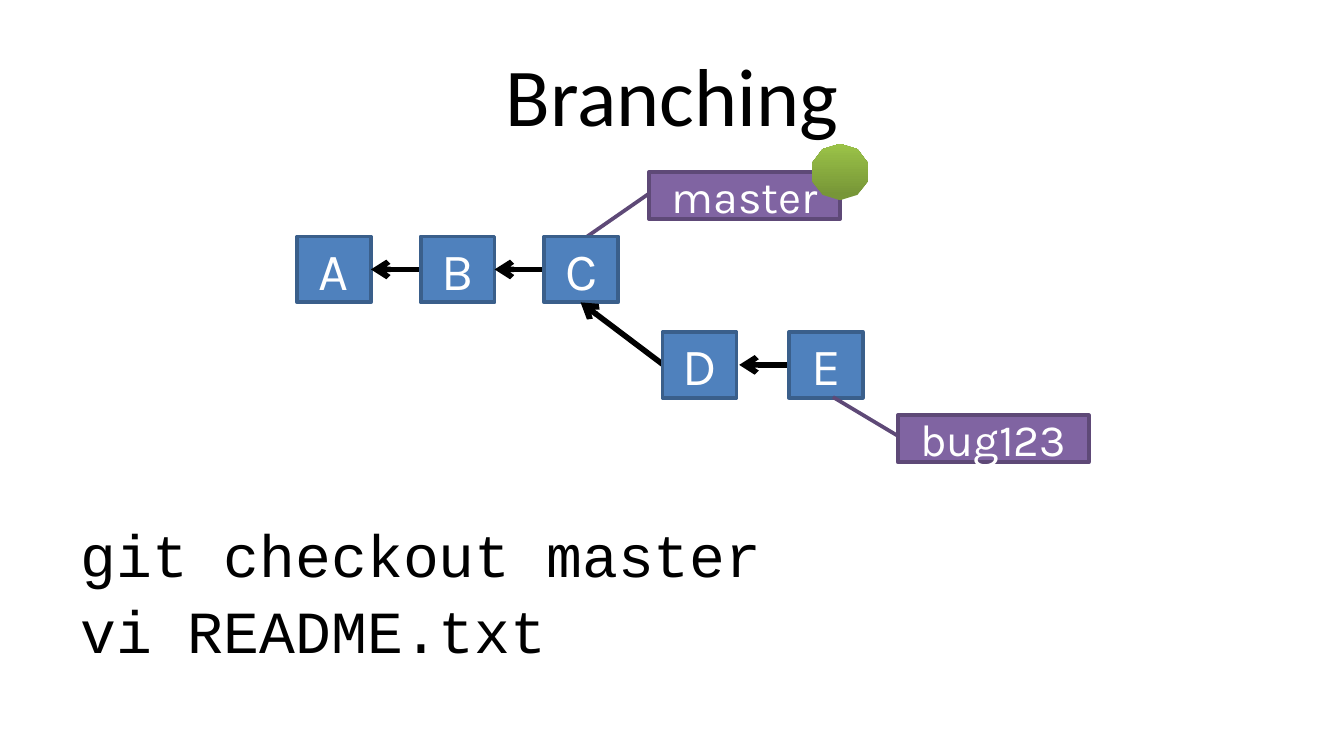
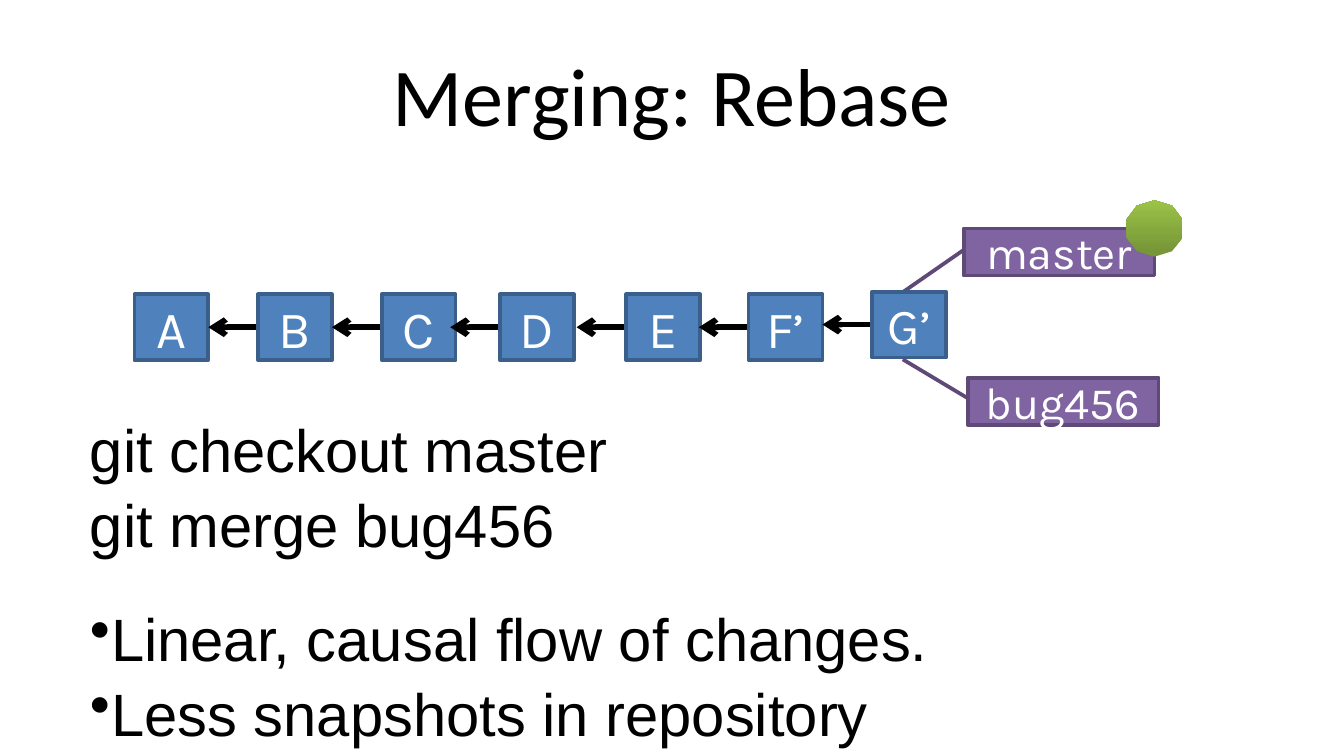
"""Build two slides about branching and rebasing as commit graphs."""
import pptx
import pptx.dml.color
import pptx.enum.shapes
import pptx.enum.text
import pptx.oxml.ns
import pptx.util
from lxml import etree

SHAPES = pptx.enum.shapes.MSO_SHAPE
ALIGN = pptx.enum.text.PP_ALIGN
ANCHOR = pptx.enum.text.MSO_ANCHOR
WIDTH, HEIGHT = 100, 56.25
COMMIT = (5.5, 4.9)
LABEL = (14.2, 3.5)
ARROW = 3.7
COLUMNS = {"A": 0, "B": 9.2, "C": 18.4, "D": 27.2, "E": 36.6, "F’": 45.7, "G’": 54.9}
ABOVE = (0.446, 0.004, 1.383, -0.329)
BELOW = (0.446, 0.004, -0.389, -0.34)
BLUE, BLUE_EDGE = "4F81BD", "3A5F8B"
PURPLE, PURPLE_EDGE = "8064A2", "5E4977"
GREEN_DARK, GREEN_LIGHT = "779637", "9BC348"
BLACK, WHITE = "000000", "FFFFFF"


def grid(*cells):
    """Turn grid cells, a hundred to the slide's width, into lengths."""
    return [pptx.util.Inches(cell / 10) for cell in cells]


def colour(code):
    """Turn a hex string into a colour."""
    return pptx.dml.color.RGBColor.from_string(code)


def apply(target, values):
    """Set every attribute named in a dict of format values."""
    for name, value in values.items():
        setattr(target, name, value)


def write(para, text, face, size, code):
    """Add one formatted span to a paragraph."""
    span = para.add_run()
    span.text = text
    apply(span.font, {"name": face, "size": pptx.util.Pt(size)})
    span.font.color.rgb = colour(code)


def text_box(page, place, lines, face, size, values, align=ALIGN.LEFT):
    """Add a text box from (text, space before, bulleted) lines."""
    frame = page.shapes.add_textbox(*grid(*place)).text_frame
    apply(frame, {"word_wrap": True, **values})
    for index, (text, gap, bulleted) in enumerate(lines):
        para = frame.add_paragraph() if index else frame.paragraphs[0]
        apply(para, {"alignment": align, "space_before": pptx.util.Pt(gap)})
        if bulleted:
            properties = para._p.get_or_add_pPr()
            apply_margins = {"marL": "0", "indent": "0"}
            properties.attrib.update(apply_margins)
            bullet = etree.SubElement(properties, pptx.oxml.ns.qn("a:buChar"))
            bullet.set("char", "•")
        write(para, text, face, size, BLACK)


def title(page, text):
    """Add the centred slide title."""
    text_box(page, (5, 2.3, 90, 9.4), [(text, 0, False)], "Calibri", 44,
             {"vertical_anchor": ANCHOR.MIDDLE}, ALIGN.CENTER)


def commands(page, place, lines, face, top):
    """Add the command lines and remarks below the graph."""
    margin_left, margin_top = grid(1, top)
    text_box(page, place, lines, face, 32,
             {"margin_left": margin_left, "margin_top": margin_top})


def filled(page, kind, place, fill, edge, text, size):
    """Add an outlined shape with white centred text."""
    shape = page.shapes.add_shape(kind, *grid(*place))
    shape.shadow.inherit = False
    shape.fill.solid()
    shape.fill.fore_color.rgb = colour(fill)
    shape.line.color.rgb = colour(edge)
    shape.line.width = pptx.util.Pt(2)
    shape.text_frame.vertical_anchor = ANCHOR.MIDDLE
    para = shape.text_frame.paragraphs[0]
    para.alignment = ALIGN.CENTER
    write(para, text, "Karla", size, WHITE)
    return shape


def arrow(page, start, end):
    """Add a black arrow from a commit to its parent."""
    line = page.shapes.add_connector(
        pptx.enum.shapes.MSO_CONNECTOR.STRAIGHT, *grid(*start, *end))
    line.line.color.rgb = colour(BLACK)
    line.line.width = pptx.util.Pt(3)
    head = etree.SubElement(line.line._get_or_add_ln(), pptx.oxml.ns.qn("a:tailEnd"))
    head.set("type", "arrow")
    etree.SubElement(line._element.spPr, pptx.oxml.ns.qn("a:effectLst"))


def commits(page, left, top, names, size=28):
    """Add a row of commits, each but the first pointing left."""
    width, height = COMMIT
    for name in names:
        column = left + COLUMNS[name]
        if name not in "AD" or left < 20 and name == "D":
            middle = top + height / 2
            arrow(page, (column, middle), (column - ARROW, middle))
        filled(page, SHAPES.RECTANGLE, (column, top, width, height),
               BLUE, BLUE_EDGE, name, size)


def branch(page, left, top, name, pointer):
    """Add a branch label whose leader points to a commit."""
    label = filled(page, SHAPES.LINE_CALLOUT_1, (left, top, *LABEL),
                   PURPLE, PURPLE_EDGE, name, 24)
    for index, value in enumerate(pointer):
        label.adjustments[index] = value


def current_marker(page, left, top):
    """Mark the checked-out branch label with a green decagon."""
    star = page.shapes.add_shape(
        SHAPES.STAR_5_POINT, *grid(left + 12.1, top - 2.1, 4.2, 3.8))
    star.shadow.inherit = False
    star.adjustments[0] = 0.5
    star.line.fill.background()
    star.fill.gradient()
    star.fill.gradient_angle = 90
    for stop, place, code in zip(star.fill.gradient_stops, (0, 1),
                                 (GREEN_DARK, GREEN_LIGHT)):
        stop.position = place
        stop.color.rgb = colour(code)


def branching(page):
    """Draw the slide on branching."""
    title(page, "Branching")
    commands(page, (5, 37.3, 57.5, 13),
             [("git checkout master", 0, False), ("vi README.txt", 2.3, False)],
             "Courier New", 1.25)
    branch(page, 48.3, 12.8, "master", ABOVE)
    commits(page, 22.1, 17.6, ["A", "B", "C"])
    arrow(page, (49.3, 27.1), (43.2, 22.5))
    commits(page, 22.1, 24.7, ["D", "E"])
    branch(page, 66.8, 30.9, "bug123", BELOW)
    current_marker(page, 48.3, 12.8)


def rebasing(page):
    """Draw the slide on merging by rebase."""
    title(page, "Merging: Rebase")
    commands(page, (5.7, 29.7, 90, 10.5),
             [("git checkout master", 0, False),
              ("git merge bug456", 1.8, False),
              ("Linear, causal flow of changes.", 22.7, True),
              ("Less snapshots in repository", 1.8, True)],
             "Arial", 1)
    branch(page, 71.7, 17, "master", ABOVE)
    commits(page, 10, 21.9, ["A", "B", "C", "D", "E", "F’"])
    commits(page, 10, 21.7, ["G’"], 27)
    branch(page, 72, 28.1, "bug456", BELOW)
    current_marker(page, 71.7, 17)


def main():
    """Build and save the deck."""
    deck = pptx.Presentation()
    deck.slide_width, deck.slide_height = grid(WIDTH, HEIGHT)
    for draw in (branching, rebasing):
        draw(deck.slides.add_slide(deck.slide_layouts[6]))
    deck.save("out.pptx")


if __name__ == "__main__":
    main()
